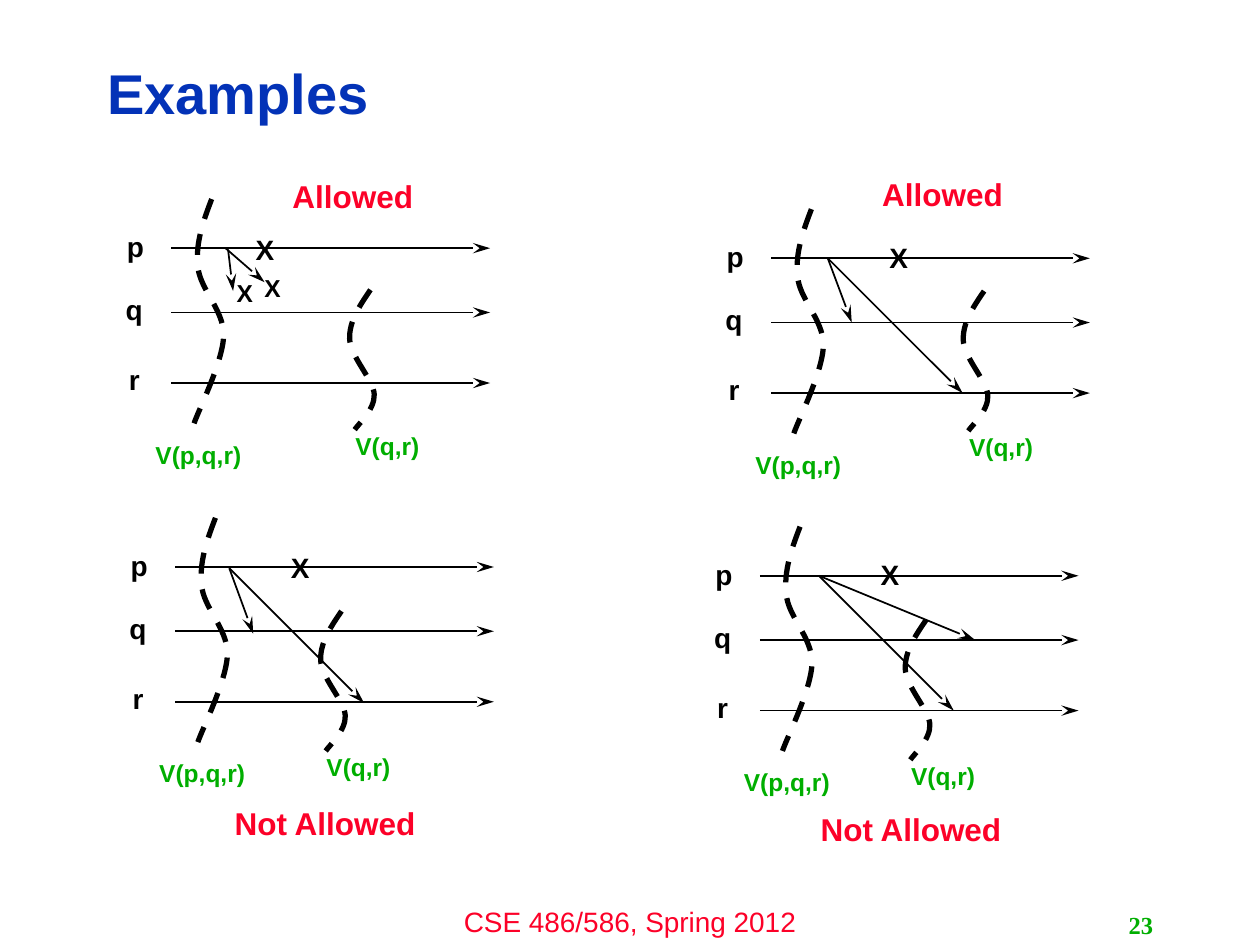
from lxml.etree import SubElement
from pptx import Presentation
from pptx.dml.color import RGBColor
from pptx.enum.dml import MSO_LINE
from pptx.enum.shapes import MSO_CONNECTOR
from pptx.enum.text import MSO_ANCHOR, MSO_AUTO_SIZE, PP_ALIGN
from pptx.oxml.ns import qn
from pptx.util import Inches, Pt

COLORS = {"title": "0332B7", "verdict": "FC0128", "view": "00AE00", "ink": "000000"}

presentation = Presentation()
presentation.slide_width = Inches(10)
presentation.slide_height = Inches(7.5)
column = presentation.slide_width / 100
row = presentation.slide_height / 75
slide = presentation.slides.add_slide(presentation.slide_layouts[5])


def write_text(shape, box, text, size, color, alignment=PP_ALIGN.CENTER, anchor=MSO_ANCHOR.TOP,
               fit=MSO_AUTO_SIZE.SHAPE_TO_FIT_TEXT, bold=True, name="Arial"):
    left, top, width, height = box
    place = {"left": int(left * column), "top": int(top * row),
             "width": int(width * column), "height": int(height * row)}
    for attribute, value in place.items():
        setattr(shape, attribute, value)
    frame = shape.text_frame
    frame.text = text
    frame_format = {"word_wrap": True, "auto_size": fit, "vertical_anchor": anchor}
    for attribute, value in frame_format.items():
        setattr(frame, attribute, value)
    paragraph = frame.paragraphs[0]
    paragraph.alignment = alignment
    font = paragraph.runs[0].font
    for attribute, value in {"name": name, "size": Pt(size), "bold": bold}.items():
        setattr(font, attribute, value)
    font.color.rgb = RGBColor.from_string(COLORS[color])
    return paragraph


def add_label(*details, **options):
    write_text(slide.shapes.add_textbox(0, 0, 0, 0), *details, **options)


title = write_text(slide.shapes.title, (7.5, 3.6, 79.8, 8.1), "Examples", 32, "title",
                   alignment=PP_ALIGN.LEFT, anchor=MSO_ANCHOR.MIDDLE, fit=MSO_AUTO_SIZE.NONE)
title.line_spacing = 0.9
add_label((33.35, 71.3, 33.3, 3.7), "CSE 486/586, Spring 2012", 16, "verdict", bold=False)
add_label((71.7, 71.8, 20.8, 3.2), "23", 14, "view", alignment=PP_ALIGN.RIGHT,
          anchor=MSO_ANCHOR.MIDDLE, fit=MSO_AUTO_SIZE.NONE, name="Times New Roman")

processes = {"p": (0, -5.3, -1.95), "q": (5.1, -5.4, -2.05), "r": (10.7, -5.4, -2.1)}
full_view = [(3.2, -3.9), (2.55, -2.2), (1.9, -0.4), (2.1, 1.4), (2.2, 3.2), (4.15, 4.85),
             (4.15, 6.9), (4.1, 9), (2.2, 12.75), (1.8, 13.9)]
reduced_view = [(0, 0), (-0.85, 1.25), (-1.7, 2.5), (-1.65, 3.9), (-1.6, 5.3), (0.25, 7.15),
                (0.3, 8.3), (0.35, 9.5), (-0.95, 10.65), (-1.25, 11.1)]

scenarios = [
    {"origin": (13.6, 19.7), "view": (29.4, 23), "verdict": ("Allowed", 18.9, 13.6),
     "crosses": [(19.3, 18, 16), (20, 21.2, 14), (17.8, 21.6, 14)],
     "messages": [(18.1, 19.8, 18.5, 23.1), (17.9, 19.7, 21, 22.4)]},
    {"origin": (13.9, 45), "view": (27.1, 48.5), "verdict": ("Not Allowed", 16.7, 63.3),
     "crosses": [(22.1, 43.2, 16)],
     "messages": [(18.2, 45.1, 20.1, 50.3), (18.2, 45.1, 28.9, 55.8)]},
    {"origin": (61.2, 20.5), "view": (78.1, 23.1), "verdict": ("Allowed", 65.7, 13.4),
     "crosses": [(69.6, 18.6, 16)],
     "messages": [(65.7, 20.5, 67.6, 25.6), (65.7, 20.5, 76.4, 31.2)]},
    {"origin": (60.3, 45.7), "view": (73.5, 49.2), "verdict": ("Not Allowed", 63.2, 63.8),
     "crosses": [(68.9, 43.8, 16)],
     "messages": [(65, 45.7, 77.4, 50.8), (65, 45.7, 75.7, 56.4)]},
]

for scenario in scenarios:
    left, top = scenario["origin"]
    view_left, view_top = scenario["view"]
    timelines = [(left, top + drop, left + 25.3, top + drop) for drop, *_ in processes.values()]
    for start_x, start_y, end_x, end_y in timelines + scenario["messages"]:
        arrow = slide.shapes.add_connector(
            MSO_CONNECTOR.STRAIGHT, int(start_x * column), int(start_y * row),
            int(end_x * column), int(end_y * row))
        arrow.line.width = Pt(1)
        arrow.line.color.rgb = RGBColor.from_string(COLORS["ink"])
        properties = arrow.line._get_or_add_ln()
        SubElement(properties, qn("a:tailEnd"), type="stealth", w="med", len="lg")
        SubElement(properties.getparent(), qn("a:effectLst"))

    for process, (drop, shift, rise) in processes.items():
        add_label((left + shift, top + drop + rise, 4.9, 3.4), process, 16, "ink")
    for cross_left, cross_top, size in scenario["crosses"]:
        add_label((cross_left, cross_top, 3.1, size / 5 + 0.2), "X", size, "ink")

    for knots, x, y in [(full_view, left, top), (reduced_view, view_left, view_top)]:
        points = [(int((x + across) * column), int((y + down) * row)) for across, down in knots]
        builder = slide.shapes.build_freeform(*points[0])
        builder.add_line_segments(points[1:], close=False)
        boundary = builder.convert_to_shape()
        segments = list(boundary._element.iter(qn("a:lnTo")))
        outline = segments[0].getparent()
        for first in range(0, len(segments), 3):
            curve = SubElement(outline, qn("a:cubicBezTo"))
            for segment in segments[first:first + 3]:
                curve.append(segment[0])
                outline.remove(segment)
        boundary.shadow.inherit = False
        boundary.fill.background()
        boundary.line.color.rgb = RGBColor.from_string(COLORS["ink"])
        for attribute, value in {"width": Pt(3), "dash_style": MSO_LINE.DASH}.items():
            setattr(boundary.line, attribute, value)

    add_label((left - 2.8, top + 14.7, 9.9, 3.1), "V(p,q,r)", 14, "view")
    add_label((view_left - 3.35, view_top + 10.7, 9.4, 3.1), "V(q,r)", 14, "view")
    verdict, verdict_left, verdict_top = scenario["verdict"]
    add_label((verdict_left, verdict_top, 18.2, 3.7), verdict, 18, "verdict")

presentation.save("out.pptx")
